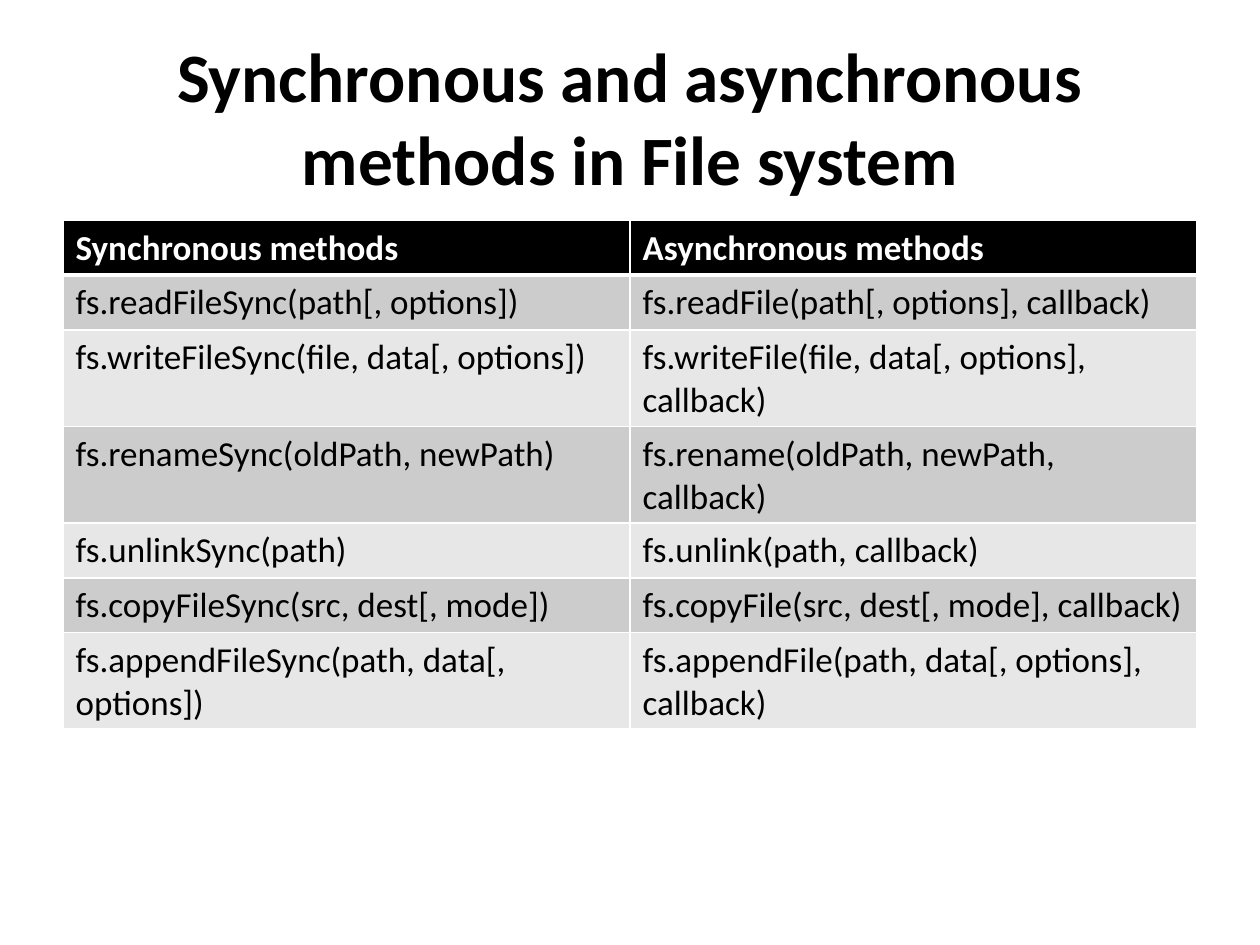
"""Build a slide comparing synchronous and asynchronous file system methods."""
from lxml import etree
from pptx import Presentation
from pptx import util as u
from pptx.dml import color
from pptx.enum import text
from pptx.oxml import ns

FONT = "Calibri"
BLACK, WHITE = "000000", "FFFFFF"
BANDS = ["CCCCCC", "E7E7E7"]
METHODS = [
    ("Synchronous methods", "Asynchronous methods"),
    ("fs.readFileSync(path[, options])", "fs.readFile(path[, options], callback)"),
    ("fs.writeFileSync(file, data[, options])", "fs.writeFile(file, data[, options], callback)"),
    ("fs.renameSync(oldPath, newPath)", "fs.rename(oldPath, newPath, callback)"),
    ("fs.unlinkSync(path)", "fs.unlink(path, callback)"),
    ("fs.copyFileSync(src, dest[, mode])", "fs.copyFile(src, dest[, mode], callback)"),
    ("fs.appendFileSync(path, data[, options])", "fs.appendFile(path, data[, options], callback)"),
]


def rgb(value):
    """Return the colour for a hex string."""
    return color.RGBColor.from_string(value)


def style_font(para, size, hex_color, bold):
    """Set the font of a paragraph."""
    font = para.font
    font.name, font.size, font.bold = FONT, u.Pt(size), bold
    font.color.rgb = rgb(hex_color)


def add_title(page, wording):
    """Add the centred slide title."""
    box = page.shapes.add_textbox(u.Pt(36), u.Pt(21.6), u.Pt(648), u.Pt(90))
    frame = box.text_frame
    frame.word_wrap = True
    frame.vertical_anchor = text.MSO_ANCHOR.MIDDLE
    para = frame.paragraphs[0]
    para.text = wording
    para.alignment = text.PP_ALIGN.CENTER
    style_font(para, 39.6, BLACK, True)


def add_border(cell, side, width):
    """Draw a white line on one side of a cell."""
    line = etree.SubElement(cell._tc.get_or_add_tcPr(), ns.qn(f"a:ln{side}"), w=str(u.Pt(width)))
    fill = etree.SubElement(line, ns.qn("a:solidFill"))
    etree.SubElement(fill, ns.qn("a:srgbClr"), val=WHITE)


def fill_cell(cell, wording, row):
    """Write and style a cell according to its row."""
    header = row == 0
    for side in "LRTB":
        thick = (header and side == "B") or (row == 1 and side == "T")
        add_border(cell, side, 3 if thick else 1)
    cell.fill.solid()
    cell.fill.fore_color.rgb = rgb(BLACK if header else BANDS[(row - 1) % 2])
    cell.text = wording
    style_font(cell.text_frame.paragraphs[0], 20, WHITE if header else BLACK, header)


def add_methods_table(page, rows):
    """Add the two-column table of methods."""
    frame = page.shapes.add_table(
        len(rows), 2, u.Pt(36), u.Pt(126), u.Pt(648), u.Pt(29.2 * len(rows)))
    for row, wordings in enumerate(rows):
        for column, wording in enumerate(wordings):
            fill_cell(frame.table.cell(row, column), wording, row)


def main():
    """Build and save the deck."""
    deck = Presentation()
    deck.slide_width, deck.slide_height = u.Pt(720), u.Pt(540)
    page = deck.slides.add_slide(deck.slide_layouts[6])
    add_title(page, "Synchronous and asynchronous methods in File system")
    add_methods_table(page, METHODS)
    deck.save("out.pptx")


if __name__ == "__main__":
    main()
